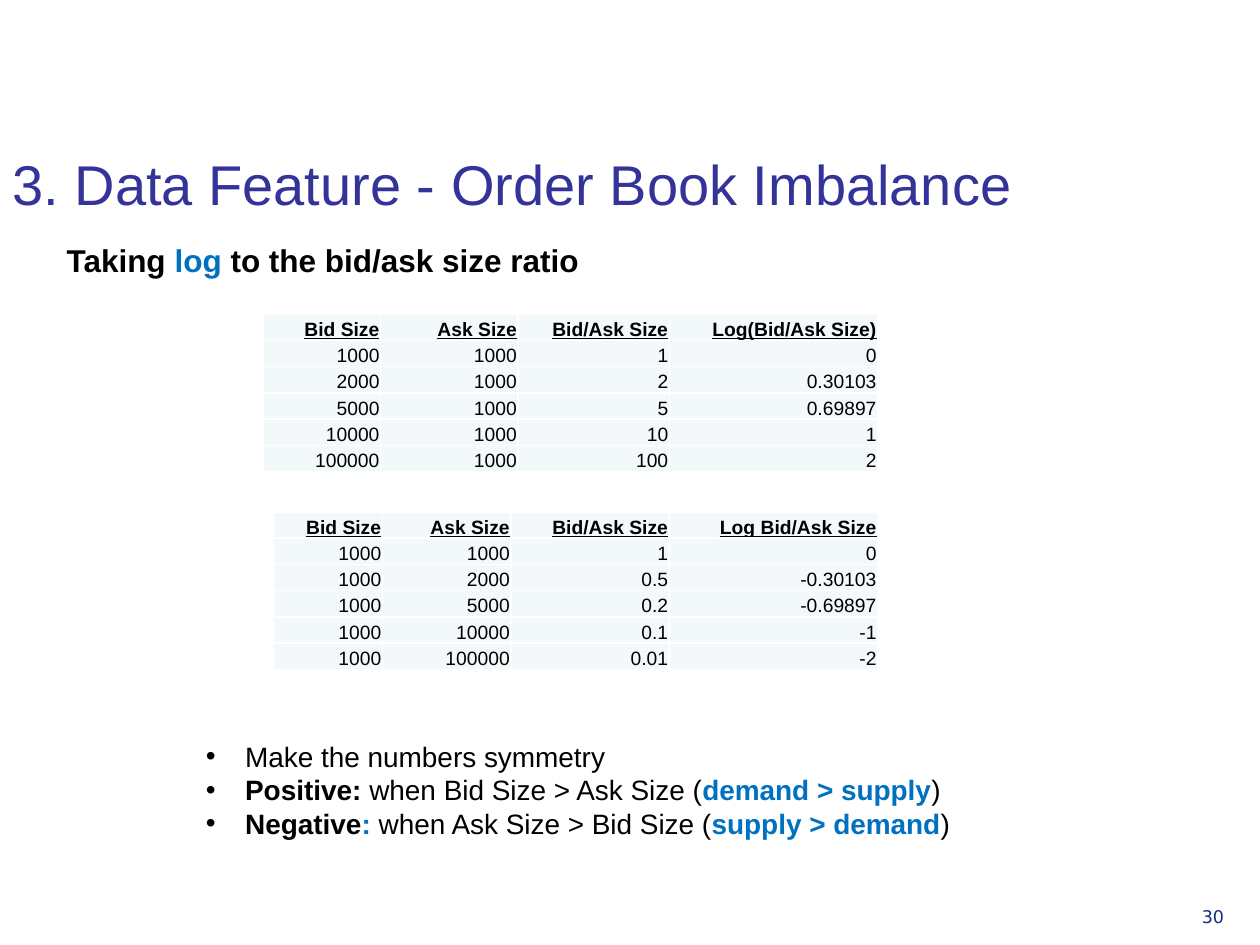
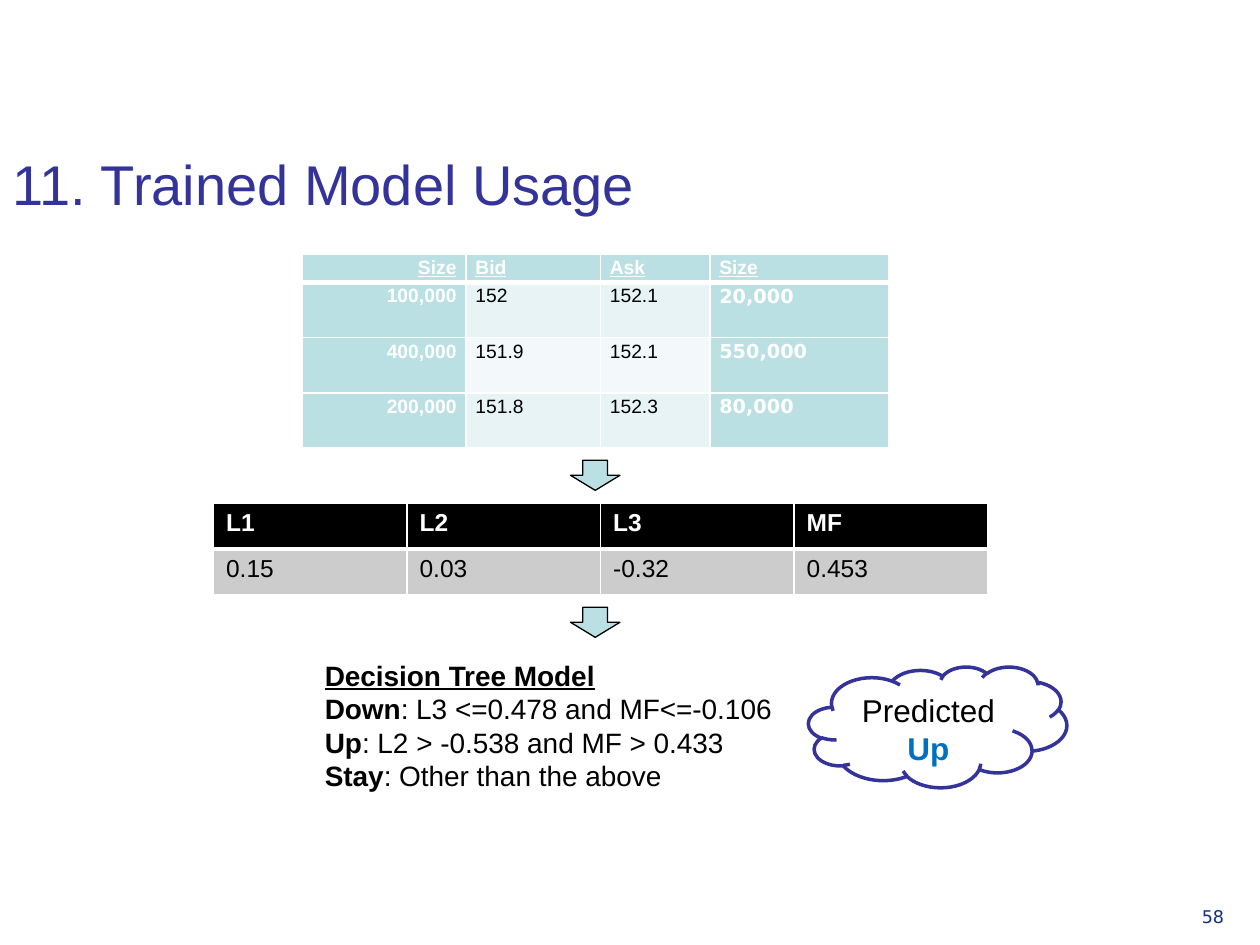
from lxml.etree import SubElement
from pptx import Presentation
from pptx.dml.color import RGBColor
from pptx.enum.shapes import MSO_SHAPE
from pptx.enum.text import MSO_ANCHOR, MSO_AUTO_SIZE, PP_ALIGN
from pptx.oxml.ns import qn
from pptx.util import Pt

# Shared look
SANS, NUMERIC = "Arial", "DejaVu Sans"
INK, WHITE, NAVY, PAGE_BLUE = "000000", "FFFFFF", "333399", "152E82"
ACCENT, TEAL, TEAL_LIGHT, TEAL_PALE = "0070C0", "BBE0E3", "E7F3F4", "F3F9FA"
GREY = "CCCCCC"
THIN, THICK = 1, 3


def rgb(value):
    return RGBColor.from_string(value)


def paint(target, color):
    target.fill.solid()
    target.fill.fore_color.rgb = rgb(color)


def style_font(font, size, color=INK, name=SANS, bold=False, underline=False):
    font.size, font.name = Pt(size), name
    font.bold, font.underline = bold, underline
    font.color.rgb = rgb(color)


def write_runs(paragraph, runs, size, bullet_indent=0, **style):
    """Each run is a plain string or a tuple of text, bold and colour."""
    if bullet_indent:
        properties = paragraph._p.get_or_add_pPr()
        properties.set("marL", str(Pt(bullet_indent)))
        properties.set("indent", str(-Pt(bullet_indent)))
        SubElement(properties, qn("a:buFont"), typeface=SANS)
        SubElement(properties, qn("a:buChar"), char="•")
    style_font(paragraph.font, size, **style)
    for item in runs:
        run = paragraph.add_run()
        if isinstance(item, str):
            run.text = item
        else:
            run.text, run.font.bold, color = item
            run.font.color.rgb = rgb(color)


def add_text(slide, box, lines, size, **style):
    frame = slide.shapes.add_textbox(*map(Pt, box)).text_frame
    frame.word_wrap = True
    write_lines(frame, lines, size, **style)


def write_lines(frame, lines, size, **style):
    for number, runs in enumerate(lines):
        paragraph = frame.add_paragraph() if number else frame.paragraphs[0]
        write_runs(paragraph, runs, size, **style)


def add_titled_slide(deck, title, width, page):
    slide = deck.slides.add_slide(deck.slide_layouts[5])
    heading = slide.shapes.title
    heading.left, heading.top, heading.width, heading.height = map(
        Pt, (0, 49, width, 78.5))
    frame = heading.text_frame
    frame.text = title
    frame.auto_size = MSO_AUTO_SIZE.NONE
    frame.vertical_anchor = MSO_ANCHOR.BOTTOM
    frame.paragraphs[0].alignment = PP_ALIGN.LEFT
    style_font(frame.paragraphs[0].font, 32, NAVY)
    add_text(slide, (679.7, 514, 39.6, 28), [[page]], 10,
             color=PAGE_BLUE, name=NUMERIC)
    return slide


# Tables
def add_grid(slide, left, top, widths, heights):
    frame = slide.shapes.add_table(
        len(heights), len(widths), Pt(left), Pt(top),
        Pt(sum(widths)), Pt(sum(heights)))
    table = frame.table
    table.first_row = table.horz_banding = False
    for column, width in zip(table.columns, widths):
        column.width = Pt(width)
    for row, height in zip(table.rows, heights):
        row.height = Pt(height)
    return table


def fill_cell(cell, text, size, fill, below=THIN, insets=None,
              alignment=PP_ALIGN.LEFT, spacing=None, **style):
    properties = cell._tc.get_or_add_tcPr()
    for side, width in zip("LRTB", (THIN, THIN, THIN, below)):
        line = SubElement(properties, qn(f"a:ln{side}"), w=str(Pt(width)))
        SubElement(SubElement(line, qn("a:solidFill")), qn("a:srgbClr"), val=WHITE)
    paint(cell, fill)
    if insets:
        (cell.margin_left, cell.margin_top,
         cell.margin_right, cell.margin_bottom) = map(Pt, insets)
    paragraph = cell.text_frame.paragraphs[0]
    paragraph.alignment = alignment
    if spacing:
        paragraph.line_spacing = spacing
    write_runs(paragraph, [text], size, **style)


def add_ratio_table(slide, left, top, widths, rows):
    table = add_grid(slide, left, top, widths, [15] * len(rows))
    for r, row in enumerate(rows):
        for c, text in enumerate(row):
            cell = table.cell(r, c)
            cell.vertical_anchor = MSO_ANCHOR.BOTTOM
            fill_cell(cell, text, 11, TEAL_PALE, insets=(0.6, 0.6, 0.6, 0),
                      alignment=PP_ALIGN.RIGHT, bold=r == 0, underline=r == 0)


def add_order_book(slide, left, top):
    rows = [("Size", "Bid", "Ask", "Size"),
            ("100,000", "152", "152.1", "20,000"),
            ("400,000", "151.9", "152.1", "550,000"),
            ("200,000", "151.8", "152.3", "80,000")]
    table = add_grid(slide, left, top, (93.3, 76.8, 62.6, 102), [16] + [31.6] * 3)
    for r, row in enumerate(rows):
        band = TEAL_LIGHT if r % 2 else TEAL_PALE
        for c, text in enumerate(row):
            strong = r == 0 or c in (0, 3)
            fill_cell(table.cell(r, c), text, 11, TEAL if strong else band,
                      below=THIN if r else THICK, insets=(5.4, 0, 5.4, 0),
                      alignment=PP_ALIGN.LEFT if c else PP_ALIGN.RIGHT,
                      spacing=1.15, color=WHITE if strong else INK,
                      name=NUMERIC if r and c == 3 else SANS,
                      bold=strong, underline=r == 0)


def add_feature_table(slide, left, top):
    features = {"L1": "0.15", "L2": "0.03", "L3": "-0.32", "MF": "0.453"}
    table = add_grid(slide, left, top, [110.6] * 4, [26.4] * 2)
    for c, (feature, value) in enumerate(features.items()):
        fill_cell(table.cell(0, c), feature, 14, INK, below=THICK,
                  color=WHITE, bold=True)
        fill_cell(table.cell(1, c), value, 14, GREY)


# Shapes of the model flow
def add_plain_shape(slide, kind, box, fill, line=None, line_width=0.75):
    shape = slide.shapes.add_shape(kind, *map(Pt, box))
    shape.shadow.inherit = False
    paint(shape, fill)
    if line:
        shape.line.color.rgb = rgb(line)
        shape.line.width = Pt(line_width)
    else:
        shape.line.fill.background()
    shape.text_frame.vertical_anchor = MSO_ANCHOR.TOP
    return shape


def add_decision_rules(slide, box):
    frame = add_plain_shape(slide, MSO_SHAPE.RECTANGLE, box, WHITE).text_frame
    heading = frame.paragraphs[0]
    heading.alignment = PP_ALIGN.LEFT
    write_runs(heading, ["Decision Tree Model"], 16, bold=True, underline=True)
    rules = {"Down": ": L3 <=0.478 and MF<=-0.106",
             "Up": ": L2 > -0.538 and MF > 0.433",
             "Stay": ": Other than the above"}
    for outcome, rule in rules.items():
        paragraph = frame.add_paragraph()
        paragraph.alignment = PP_ALIGN.LEFT
        write_runs(paragraph, [(outcome, True, INK), rule], 16)


def add_prediction(slide, box):
    cloud = add_plain_shape(slide, MSO_SHAPE.CLOUD, box, WHITE, NAVY, 2)
    paragraph = cloud.text_frame.paragraphs[0]
    paragraph.alignment = PP_ALIGN.CENTER
    write_runs(paragraph, ["Predicted ", ("Up", True, ACCENT)], 18)


# Slides
def build_imbalance_slide(deck):
    slide = add_titled_slide(
        deck, "3. Data Feature - Order Book Imbalance", 700, "30")
    add_text(slide, (31, 134, 669, 30),
             [["Taking ", ("log", True, ACCENT), " to the bid/ask size ratio"]],
             18, bold=True)

    sizes = ("1000", "2000", "5000", "10000", "100000")
    header = ("Bid Size", "Ask Size", "Bid/Ask Size")
    log_left, log_width = 382.5, 119
    groups = [
        (179.5, (67, 78.5, 86.5),
         [(size, "1000", ratio) for size, ratio
          in zip(sizes, ("1", "2", "5", "10", "100"))],
         ("Log(Bid/Ask Size)", "0", "0.30103", "0.69897", "1", "2")),
        (292.5, (62.5, 73.5, 90.5),
         [("1000", size, ratio) for size, ratio
          in zip(sizes, ("1", "0.5", "0.2", "0.1", "0.01"))],
         ("Log Bid/Ask Size", "0", "-0.30103", "-0.69897", "-1", "-2")),
    ]
    for top, widths, ratios, logs in groups:
        add_ratio_table(slide, log_left - sum(widths), top, widths, [header] + ratios)
        add_ratio_table(slide, log_left, top, [log_width], [(log,) for log in logs])

    add_text(slide, (110.5, 419, 445, 87), [
        ["Make the numbers symmetry"],
        [("Positive: ", True, INK), "when Bid Size > Ask Size (",
         ("demand > supply", True, ACCENT), ")"],
        [("Negative", True, INK), (": ", True, ACCENT),
         "when Ask Size > Bid Size (", ("supply > demand", True, ACCENT), ")"],
    ], 16, bullet_indent=22.5)


def build_usage_slide(deck):
    slide = add_titled_slide(deck, "11. Trained Model Usage", 636, "58")
    add_decision_rules(slide, (178.5, 372.5, 278.5, 85))
    add_order_book(slide, 173, 145.3)
    add_feature_table(slide, 122, 287.3)
    for top in (263, 347):
        add_plain_shape(slide, MSO_SHAPE.DOWN_ARROW, (326, top, 28.3, 17.2), TEAL, INK)
    add_prediction(slide, (462, 381, 147.6, 69))


def main():
    deck = Presentation()
    deck.slide_width, deck.slide_height = Pt(720), Pt(540)
    build_imbalance_slide(deck)
    build_usage_slide(deck)
    deck.save("out.pptx")


if __name__ == "__main__":
    main()
